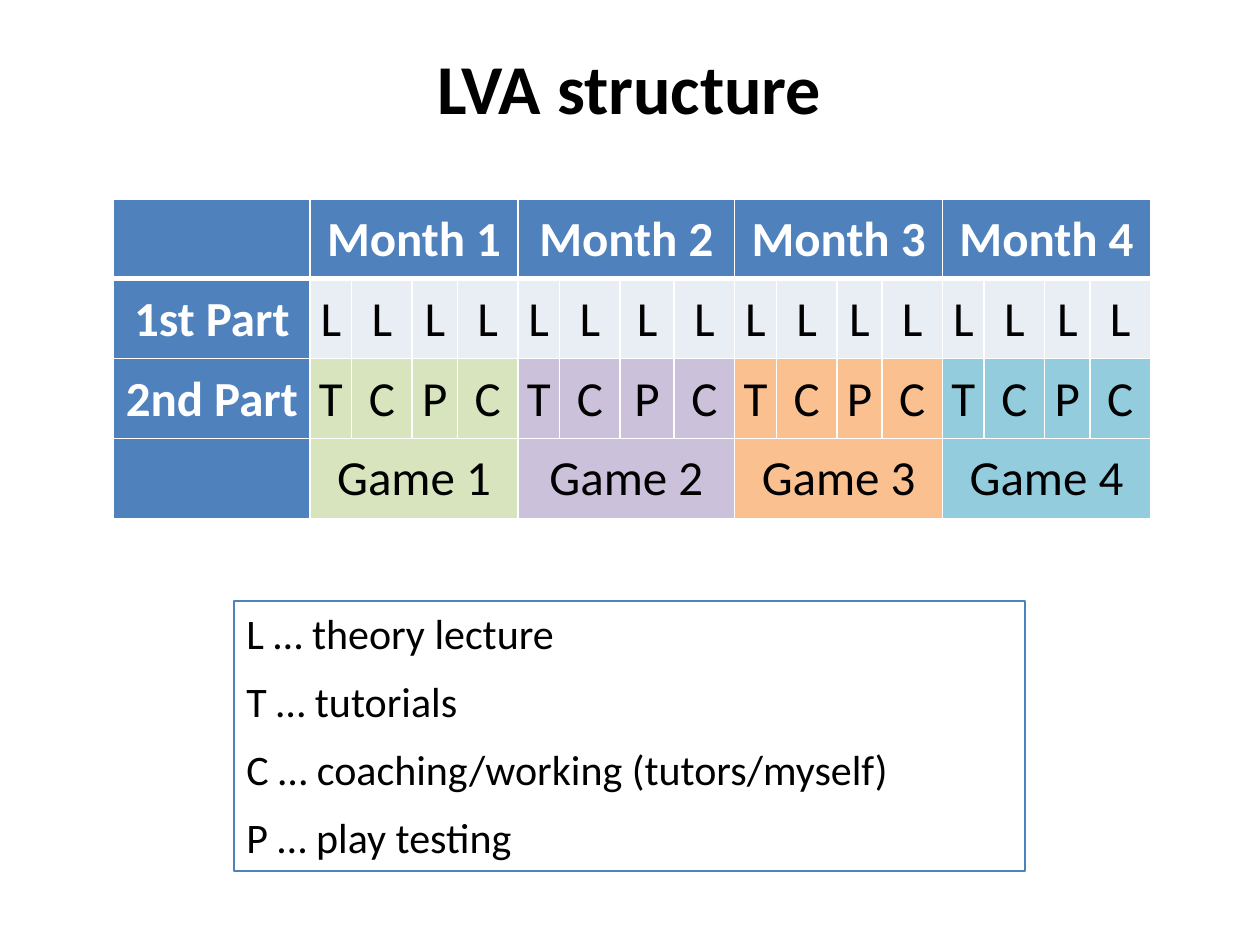
"""Build the LVA structure slide with its course schedule and legend."""
from dataclasses import dataclass

from lxml.etree import SubElement
from pptx import Presentation
from pptx.dml.color import RGBColor
from pptx.enum.shapes import MSO_SHAPE
from pptx.enum.text import MSO_ANCHOR, PP_ALIGN
from pptx.oxml.ns import qn
from pptx.util import Cm, Pt


@dataclass(frozen=True)
class Theme:
    """Colours, font and type sizes of the slide."""
    font: str = "Calibri"
    title_size: int = 40
    table_size: int = 28
    legend_size: int = 24
    text: str = "000000"
    light: str = "FFFFFF"
    accent: str = "4F81BD"
    lecture: str = "E9EDF4"
    games: tuple = ("D7E4BD", "CCC1DA", "FAC090", "93CDDD")


THEME = Theme()
LABEL_WIDTH = 3.96
MONTH_WIDTHS = (
    (0.84, 1.22, 0.91, 1.22),
    (0.84, 1.22, 1.09, 1.22),
    (0.84, 1.22, 0.91, 1.22),
    (0.84, 1.22, 0.91, 1.22),
)
WEEKS = 4
ROW_HEIGHT = 1.61
LECTURES = "LLLL"
PRACTICE = "TCPC"
LEGEND = (
    "L … theory lecture",
    "T … tutorials",
    "C … coaching/working (tutors/myself)",
    "P … play testing",
)


def style_paragraph(paragraph, size, color, bold=False):
    """Set the font of a whole paragraph."""
    font = paragraph.font
    font.name = THEME.font
    font.size = Pt(size)
    font.bold = bold
    font.color.rgb = RGBColor.from_string(color)


def add_title(slide, text):
    """Add the centred slide title."""
    frame = slide.shapes.add_textbox(Cm(0.71), Cm(0.81), Cm(23.95), Cm(2.01)).text_frame
    frame.word_wrap = True
    frame.vertical_anchor = MSO_ANCHOR.MIDDLE
    frame.margin_top = Cm(0.2)
    paragraph = frame.paragraphs[0]
    paragraph.text = text
    paragraph.alignment = PP_ALIGN.CENTER
    paragraph.line_spacing = 0.9
    style_paragraph(paragraph, THEME.title_size, THEME.text, True)


def set_borders(cell, top, bottom):
    """Draw light borders around a cell, with the given top and bottom widths."""
    properties = cell._tc.get_or_add_tcPr()
    widths = {"a:lnL": 1, "a:lnR": 1, "a:lnT": top, "a:lnB": bottom}
    for position, (tag, width) in enumerate(widths.items()):
        line = SubElement(properties, qn(tag), w=str(Pt(width)))
        fill = SubElement(line, qn("a:solidFill"))
        SubElement(fill, qn("a:srgbClr"), val=THEME.light)
        properties.insert(position, line)


def fill_cell(cell, text, fill, color=THEME.text, bold=False):
    """Write centred text into a filled cell."""
    cell.fill.solid()
    cell.fill.fore_color.rgb = RGBColor.from_string(fill)
    cell.vertical_anchor = MSO_ANCHOR.MIDDLE
    cell.margin_left = cell.margin_right = cell.margin_top = Cm(0.03)
    cell.margin_bottom = 0
    paragraph = cell.text_frame.paragraphs[0]
    paragraph.text = text
    paragraph.alignment = PP_ALIGN.CENTER
    style_paragraph(paragraph, THEME.table_size, color, bold)


def fill_heading(cell, text):
    """Write a bold heading cell."""
    fill_cell(cell, text, THEME.accent, THEME.light, True)


def fill_month(table, month, game_color):
    """Fill the four week columns that belong to one month."""
    first = 1 + month * WEEKS
    for row in (0, 3):
        table.cell(row, first).merge(table.cell(row, first + WEEKS - 1))
    fill_heading(table.cell(0, first), f"Month {month + 1}")
    for week in range(WEEKS):
        fill_cell(table.cell(1, first + week), LECTURES[week], THEME.lecture)
        fill_cell(table.cell(2, first + week), PRACTICE[week], game_color)
    fill_cell(table.cell(3, first), f"Game {month + 1}", game_color)


def add_schedule(slide):
    """Add the schedule table of months, parts and games."""
    widths = [LABEL_WIDTH, *(width for month in MONTH_WIDTHS for width in month)]
    labels = ("", "1st Part", "2nd Part", "")
    table = slide.shapes.add_table(
        len(labels), len(widths), Cm(2.29), Cm(4.01),
        Cm(sum(widths)), Cm(ROW_HEIGHT * len(labels)),
    ).table
    for column, width in zip(table.columns, widths):
        column.width = Cm(width)
    for row, label in enumerate(labels):
        table.rows[row].height = Cm(ROW_HEIGHT)
        fill_heading(table.cell(row, 0), label)
    for month, game_color in enumerate(THEME.games):
        fill_month(table, month, game_color)
    for row in range(len(labels)):
        for column in range(len(widths)):
            set_borders(table.cell(row, column), 3 if row == 1 else 1, 3 if row == 0 else 1)


def add_legend(slide, entries):
    """Add the outlined box that explains the letters."""
    shape = slide.shapes.add_shape(
        MSO_SHAPE.RECTANGLE, Cm(4.72), Cm(12.12), Cm(15.95), Cm(5.44)
    )
    shape.shadow.inherit = False
    shape.fill.solid()
    shape.fill.fore_color.rgb = RGBColor.from_string(THEME.light)
    shape.line.color.rgb = RGBColor.from_string(THEME.accent)
    shape.line.width = Pt(1)
    frame = shape.text_frame
    frame.word_wrap = True
    frame.vertical_anchor = MSO_ANCHOR.TOP
    frame.text = "\n".join(entries)
    for paragraph in frame.paragraphs:
        paragraph.alignment = PP_ALIGN.LEFT
        paragraph.space_before = Pt(10)
        style_paragraph(paragraph, THEME.legend_size, THEME.text)


def main():
    """Create and save the presentation."""
    presentation = Presentation()
    presentation.slide_width = Cm(25.4)
    presentation.slide_height = Cm(19.05)
    slide = presentation.slides.add_slide(presentation.slide_layouts[6])
    add_title(slide, "LVA structure")
    add_legend(slide, LEGEND)
    add_schedule(slide)
    presentation.save("out.pptx")


if __name__ == "__main__":
    main()
